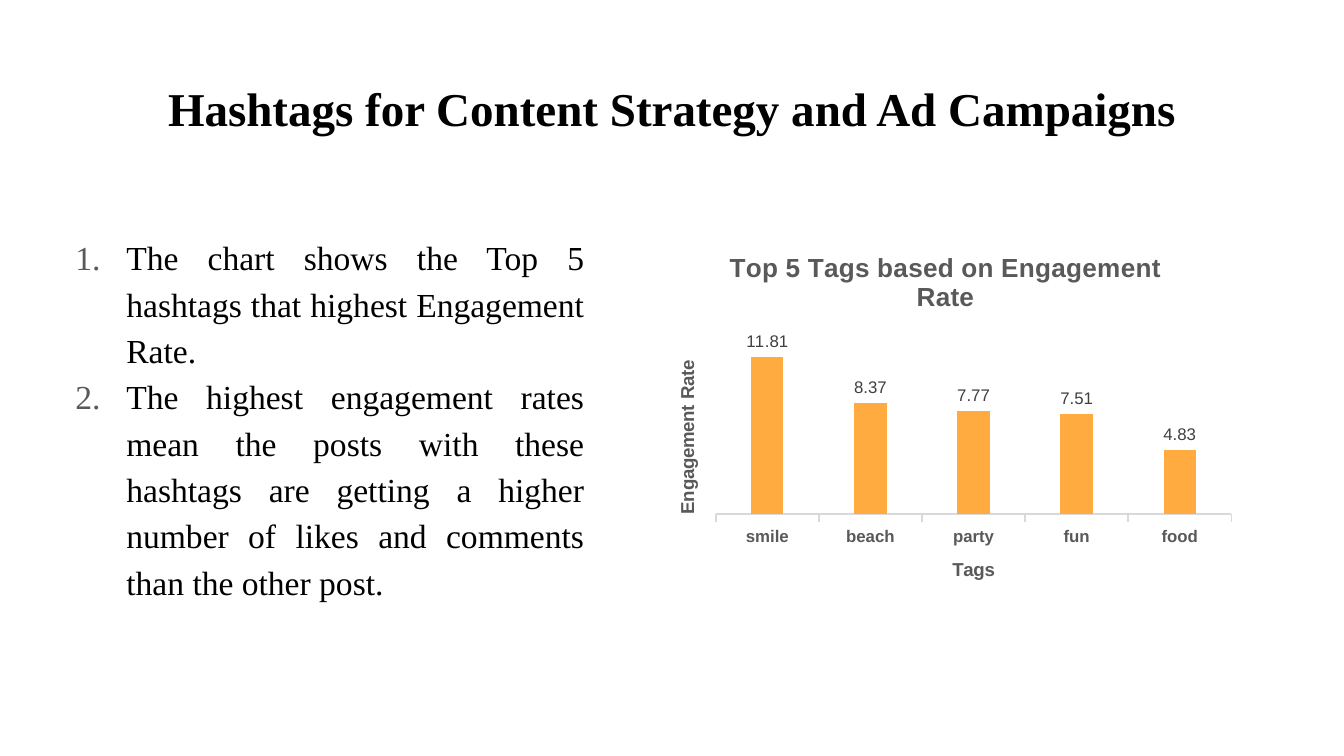
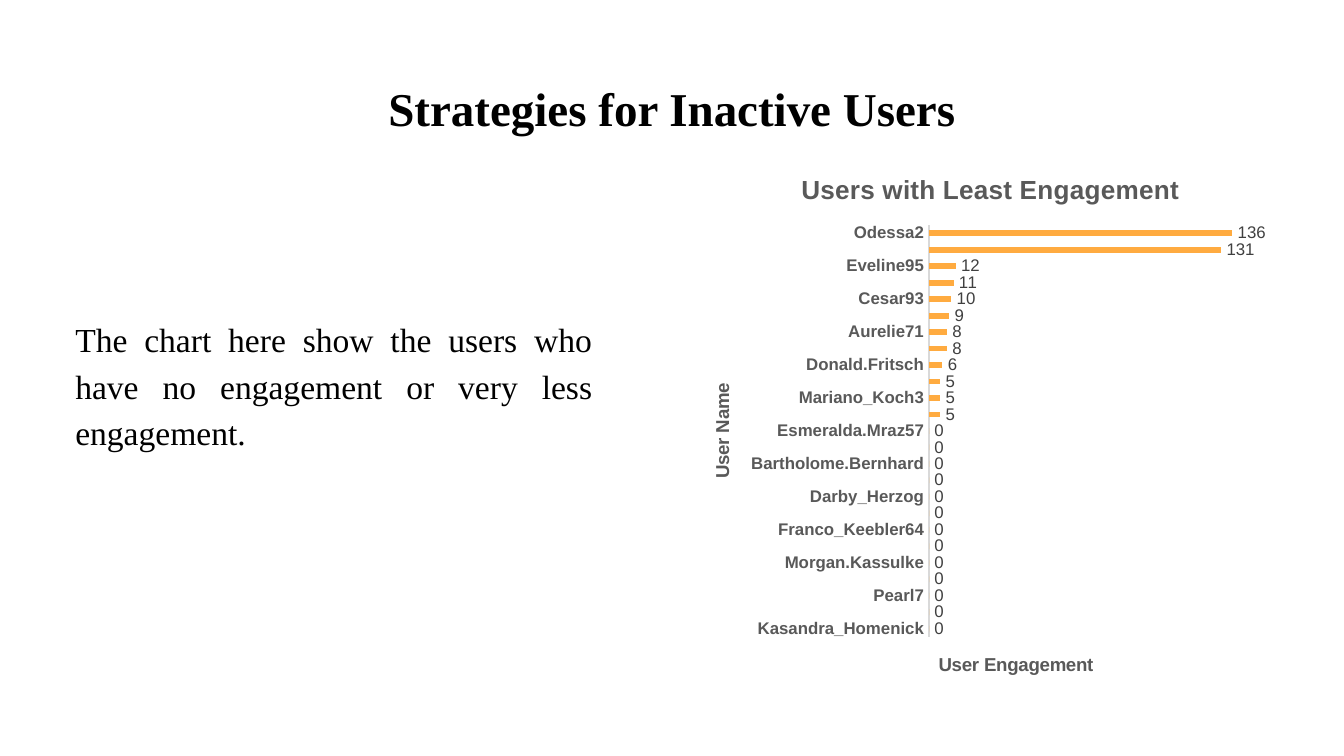
from lxml.etree import SubElement
from pptx import Presentation
from pptx.chart.data import CategoryChartData
from pptx.dml.color import RGBColor
from pptx.enum.chart import XL_CHART_TYPE, XL_LABEL_POSITION, XL_TICK_MARK
from pptx.enum.text import MSO_ANCHOR, MSO_AUTO_SIZE, PP_ALIGN
from pptx.oxml import parse_xml
from pptx.oxml.ns import nsdecls, qn
from pptx.util import Inches, Pt

BLACK = RGBColor(0x00, 0x00, 0x00)
GRAY = RGBColor(0x59, 0x59, 0x59)
LABEL_GRAY = RGBColor(0x40, 0x40, 0x40)
AXIS_GRAY = RGBColor(0xD9, 0xD9, 0xD9)
ORANGE = RGBColor(0xFF, 0xAB, 0x40)

SERIF, SANS = "Times New Roman", "Arial"
TITLE_FONT = {"name": SERIF, "size": Pt(25.2), "bold": True}
BODY_FONT = {"name": SERIF, "size": Pt(18)}
CHART_FONT = {"name": SANS, "size": Pt(10)}
CHART_TITLE_FONT = {"name": SANS, "size": Pt(14), "bold": True}
AXIS_TITLE_FONT = {"name": SANS, "size": Pt(10), "bold": True}
TICK_FONT = {"name": SANS, "size": Pt(9), "bold": True}
LABEL_FONT = {"name": SANS, "size": Pt(9), "bold": False}

HASHTAG_POINTS = [
    "The chart shows the Top 5 hashtags that highest Engagement Rate.",
    "The highest engagement rates mean the posts with these hashtags are getting "
    "a higher number of likes and comments than the other post.",
]
INACTIVE_POINTS = [
    "The chart here show the users who have no engagement or very less engagement.",
]
TAG_RATES = {"smile": 11.81, "beach": 8.37, "party": 7.77, "fun": 7.51, "food": 4.83}
USER_ENGAGEMENT = {
    "Kasandra_Homenick": 0, "Tierra.Trantow": 0, "Pearl7": 0, "David.Osinski47": 0,
    "Morgan.Kassulke": 0, "Linnea59": 0, "Franco_Keebler64": 0, "Hulda.Macejkovic": 0,
    "Darby_Herzog": 0, "Esther.Zulauf61": 0, "Bartholome.Bernhard": 0,
    "Jessyca_West": 0, "Esmeralda.Mraz57": 0, "Kenton_Kirlin": 5, "Mariano_Koch3": 5,
    "Florence99": 5, "Donald.Fritsch": 6, "Jaime53": 8, "Aurelie71": 8,
    "Delfina_VonRueden68": 9, "Cesar93": 10, "Clint27": 11, "Eveline95": 12,
    "Granville_Kutch": 131, "Odessa2": 136,
}


def format_font(font, values, color):
    """Apply a dict of format values and a colour to a font."""
    for name, value in values.items():
        setattr(font, name, value)
    font.color.rgb = color


def place(shape, left, top, width, height):
    """Move and size a shape, in inches."""
    box = {"left": left, "top": top, "width": width, "height": height}
    for name, value in box.items():
        setattr(shape, name, Inches(value))


def format_frame(frame, anchor):
    """Set the margins, wrapping and anchor of a text frame."""
    values = {"word_wrap": True, "auto_size": MSO_AUTO_SIZE.NONE, "vertical_anchor": anchor}
    for side in ("left", "right", "top", "bottom"):
        values[f"margin_{side}"] = Inches(0.1)
    for name, value in values.items():
        setattr(frame, name, value)


def set_bullet(paragraph, numbered):
    """Give a paragraph a grey number or remove its bullet, with matching indents."""
    properties = paragraph._p.get_or_add_pPr()
    margin, indent = (0.5, -0.38) if numbered else (0.12, 0)
    properties.set("marL", str(Inches(margin)))
    properties.set("indent", str(Inches(indent)))
    if numbered:
        color = SubElement(properties, qn("a:buClr"))
        SubElement(color, qn("a:srgbClr"), val=str(GRAY))
        SubElement(properties, qn("a:buFont"), typeface=SERIF)
        SubElement(properties, qn("a:buAutoNum"), type="arabicPeriod")
    else:
        SubElement(properties, qn("a:buNone"))


def add_titled_slide(presentation, title):
    """Add a slide with the shared centred title."""
    slide = presentation.slides.add_slide(presentation.slide_layouts[1])
    shape = slide.shapes.title
    place(shape, 0.34, 0.49, 9.32, 0.63)
    format_frame(shape.text_frame, MSO_ANCHOR.MIDDLE)
    paragraph = shape.text_frame.paragraphs[0]
    paragraph.alignment = PP_ALIGN.CENTER
    run = paragraph.add_run()
    run.text = title
    format_font(run.font, TITLE_FONT, BLACK)
    return slide


def fill_body(slide, box, points, numbered=False):
    """Write justified paragraphs in the body placeholder."""
    shape = slide.placeholders[1]
    place(shape, *box)
    frame = shape.text_frame
    format_frame(frame, MSO_ANCHOR.TOP)
    for index, point in enumerate(points):
        paragraph = frame.add_paragraph() if index else frame.paragraphs[0]
        set_bullet(paragraph, numbered)
        paragraph.alignment = PP_ALIGN.JUSTIFY
        paragraph.line_spacing = 1.15
        paragraph.space_before = Pt(0)
        run = paragraph.add_run()
        run.text = point
        format_font(run.font, BODY_FONT, BLACK)


def write_chart_title(title, text, font_values):
    """Write the title of a chart or of an axis."""
    paragraph = title.text_frame.paragraphs[0]
    run = paragraph.add_run()
    run.text = text
    format_font(run.font, font_values, GRAY)


def move_axis_title(title, left, top):
    """Place an axis title at fractions of the chart area."""
    element = title._element
    for layout in element.findall(qn("c:layout")):
        element.remove(layout)
    element.find(qn("c:tx")).addnext(parse_xml(
        f'<c:layout {nsdecls("c")}><c:manualLayout>'
        '<c:xMode val="edge"/><c:yMode val="edge"/>'
        f'<c:x val="{left}"/><c:y val="{top}"/>'
        '</c:manualLayout></c:layout>'
    ))


def add_bar_chart(slide, chart_type, box, data, titles, gap, overlap, tick_mark):
    """Add an orange bar chart with value labels and a hidden value axis."""
    chart_data = CategoryChartData()
    chart_data.categories = list(data)
    chart_data.add_series("Series 1", list(data.values()))
    frame = slide.shapes.add_chart(chart_type, *map(Inches, box), chart_data)
    chart = frame.chart
    chart_title, category_title, value_title = titles
    chart.has_legend = False
    format_font(chart.font, CHART_FONT, BLACK)
    write_chart_title(chart.chart_title, chart_title, CHART_TITLE_FONT)
    chart.chart_title.include_in_layout = False

    category_axis, value_axis = chart.category_axis, chart.value_axis
    write_chart_title(category_axis.axis_title, category_title, AXIS_TITLE_FONT)
    write_chart_title(value_axis.axis_title, value_title, AXIS_TITLE_FONT)
    value_axis.has_major_gridlines = False
    value_axis.visible = False
    category_axis.major_tick_mark = tick_mark
    category_axis.minor_tick_mark = XL_TICK_MARK.NONE
    category_axis.format.line.color.rgb = AXIS_GRAY
    category_axis.format.line.width = Pt(0.75)
    format_font(category_axis.tick_labels.font, TICK_FONT, GRAY)

    plot = chart.plots[0]
    plot.vary_by_categories = False
    plot.gap_width = gap
    plot.overlap = overlap
    series = plot.series[0]
    series.invert_if_negative = False
    series.format.fill.solid()
    series.format.fill.fore_color.rgb = ORANGE
    labels = series.data_labels
    labels.show_value = True
    labels.position = XL_LABEL_POSITION.OUTSIDE_END
    format_font(labels.font, LABEL_FONT, LABEL_GRAY)
    return chart


def main():
    """Build both slides and save the presentation."""
    presentation = Presentation()
    presentation.slide_width = Inches(10)
    presentation.slide_height = presentation.slide_width * 9 // 16

    slide = add_titled_slide(presentation, "Hashtags for Content Strategy and Ad Campaigns")
    fill_body(slide, (0.34, 1.62, 4.11, 3.38), HASHTAG_POINTS, numbered=True)
    add_bar_chart(
        slide, XL_CHART_TYPE.COLUMN_CLUSTERED, (4.82, 1.72, 4.43, 2.81), TAG_RATES,
        ("Top 5 Tags based on Engagement Rate", "Tags", "Engagement Rate"),
        gap=219, overlap=-27, tick_mark=XL_TICK_MARK.OUTSIDE,
    )

    slide = add_titled_slide(presentation, "Strategies for Inactive Users")
    fill_body(slide, (0.34, 2.23, 4.17, 1.35), INACTIVE_POINTS)
    chart = add_bar_chart(
        slide, XL_CHART_TYPE.BAR_CLUSTERED, (5.08, 1.11, 4.58, 4.13), USER_ENGAGEMENT,
        ("Users with Least Engagement", "User Name", "User Engagement"),
        gap=182, overlap=0, tick_mark=XL_TICK_MARK.NONE,
    )
    move_axis_title(chart.value_axis.axis_title, 0.41, 0.9)

    presentation.save("out.pptx")


if __name__ == "__main__":
    main()
